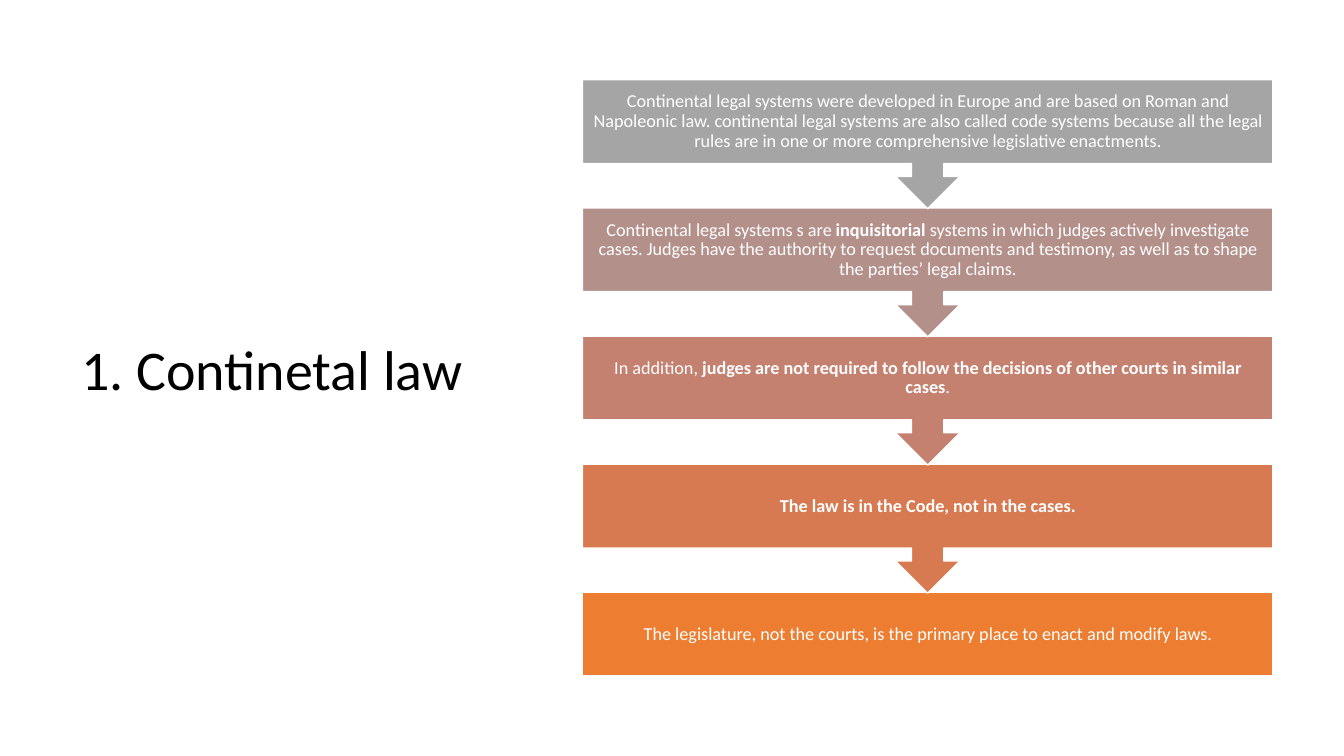
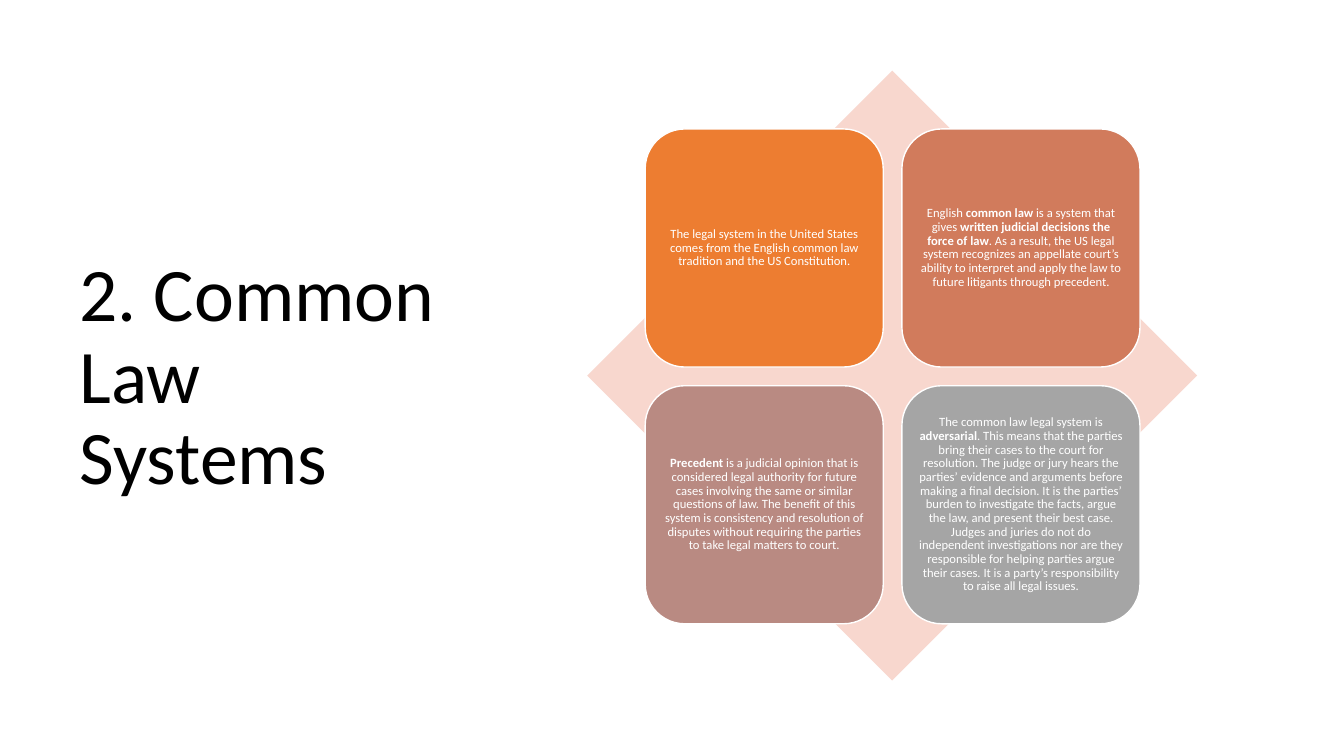
from pptx import Presentation
from pptx.dml.color import RGBColor
from pptx.enum.shapes import MSO_SHAPE
from pptx.enum.text import MSO_ANCHOR, MSO_AUTO_SIZE, PP_ALIGN
from pptx.util import Cm, Pt

WHITE = RGBColor(0xFF, 0xFF, 0xFF)
BLACK = RGBColor(0x00, 0x00, 0x00)
GRAY = RGBColor(0xA5, 0xA5, 0xA5)
MAUVE = RGBColor(0xB4, 0x90, 0x8B)
ROSE = RGBColor(0xB9, 0x8A, 0x82)
CORAL = RGBColor(0xC4, 0x81, 0x70)
RUST = RGBColor(0xD1, 0x7B, 0x5C)
COPPER = RGBColor(0xD8, 0x7A, 0x51)
ORANGE = RGBColor(0xED, 0x7D, 0x31)
BLUSH = RGBColor(0xF8, 0xD7, 0xCE)
FONT = "Calibri"

deck = Presentation()
deck.slide_width, deck.slide_height = Cm(33.87), Cm(19.05)


def add_page(text, size, left, top, width, height):
    page = deck.slides.add_slide(deck.slide_layouts[5])
    title = page.shapes.title
    title.left, title.top = Cm(left), Cm(top)
    title.width, title.height = Cm(width), Cm(height)
    frame = title.text_frame
    frame.text = text
    frame.auto_size = MSO_AUTO_SIZE.NONE
    frame.vertical_anchor = MSO_ANCHOR.MIDDLE
    para = frame.paragraphs[0]
    para.alignment = PP_ALIGN.LEFT
    para.line_spacing = 0.9
    para.font.name, para.font.size = FONT, Pt(size)
    para.font.color.rgb = BLACK
    return page


def add_box(page, kind, left, top, width, height, fill, text, size, inset):
    box = page.shapes.add_shape(kind, Cm(left), Cm(top), Cm(width), Cm(height))
    box.shadow.inherit = False
    box.fill.solid()
    box.fill.fore_color.rgb = fill
    box.line.color.rgb = WHITE
    box.line.width = Pt(1)
    frame = box.text_frame
    frame.word_wrap = True
    frame.vertical_anchor = MSO_ANCHOR.MIDDLE
    frame.margin_left = frame.margin_right = Cm(inset)
    frame.margin_top = frame.margin_bottom = Cm(inset)
    para = frame.paragraphs[0]
    para.alignment = PP_ALIGN.CENTER
    para.line_spacing = 0.9
    para.font.name, para.font.size = FONT, Pt(size)
    para.font.color.rgb = WHITE
    for index, part in enumerate(text.split("*")):
        if part:
            run = para.add_run()
            run.text = part
            if index % 2:
                run.font.bold = True


# Asterisks enclose bold words.
STEPS = [
    (GRAY, "Continental legal systems were developed in Europe and are based on "
     "Roman and Napoleonic law. continental legal systems are also called code "
     "systems because all the legal rules are in one or more comprehensive "
     "legislative enactments."),
    (MAUVE, "Continental legal systems s are *inquisitorial* systems in which "
     "judges actively investigate cases. Judges have the authority to request "
     "documents and testimony, as well as to shape the parties’ legal claims."),
    (CORAL, "In addition, *judges are not required to follow the decisions of "
     "other courts in similar cases*."),
    (COPPER, "*The law is in the Code, not in the cases.*"),
    (ORANGE, "The legislature, not the courts, is the primary place to enact "
     "and modify laws."),
]
page = add_page("1. Continetal law", 40, 1.8, 1.75, 10.19, 15.29)
last = len(STEPS) - 1
for row in range(last, -1, -1):
    fill, text = STEPS[row]
    kind, height = MSO_SHAPE.DOWN_ARROW_CALLOUT, 3.25
    if row == last:
        kind, height = MSO_SHAPE.RECTANGLE, 2.1
    add_box(page, kind, 14.68, 2.01 + row * 3.23, 17.4, height,
            fill, text, 13, 0.25)

CARDS = [
    (ORANGE, "The legal system in the United States comes from the English "
     "common law tradition and the US Constitution."),
    (RUST, "English *common law* is a system that gives *written judicial "
     "decisions the force of law*. As a result, the US legal system recognizes "
     "an appellate court’s ability to interpret and apply the law to future "
     "litigants through precedent."),
    (ROSE, "*Precedent* is a judicial opinion that is considered legal authority "
     "for future cases involving the same or similar questions of law. The "
     "benefit of this system is consistency and resolution of disputes without "
     "requiring the parties to take legal matters to court."),
    (GRAY, "The common law legal system is *adversarial*. This means that the "
     "parties bring their cases to the court for resolution. The judge or jury "
     "hears the parties’ evidence and arguments before making a final decision. "
     "It is the parties’ burden to investigate the facts, argue the law, and "
     "present their best case. Judges and juries do not do independent "
     "investigations nor are they responsible for helping parties argue their "
     "cases. It is a party’s responsibility to raise all legal issues."),
]
page = add_page("2. Common Law Systems", 54, 1.75, 1.78, 9.5, 15.52)
back = page.shapes.add_shape(MSO_SHAPE.DIAMOND, Cm(14.8), Cm(1.78),
                             Cm(15.37), Cm(15.37))
back.shadow.inherit = False
back.fill.solid()
back.fill.fore_color.rgb = BLUSH
back.line.fill.background()
for index, (fill, text) in enumerate(CARDS):
    row, col = divmod(index, 2)
    add_box(page, MSO_SHAPE.ROUNDED_RECTANGLE, 16.26 + col * 6.47,
            3.25 + row * 6.47, 6, 6, fill, text, 9, 0.1)

deck.save("out.pptx")
